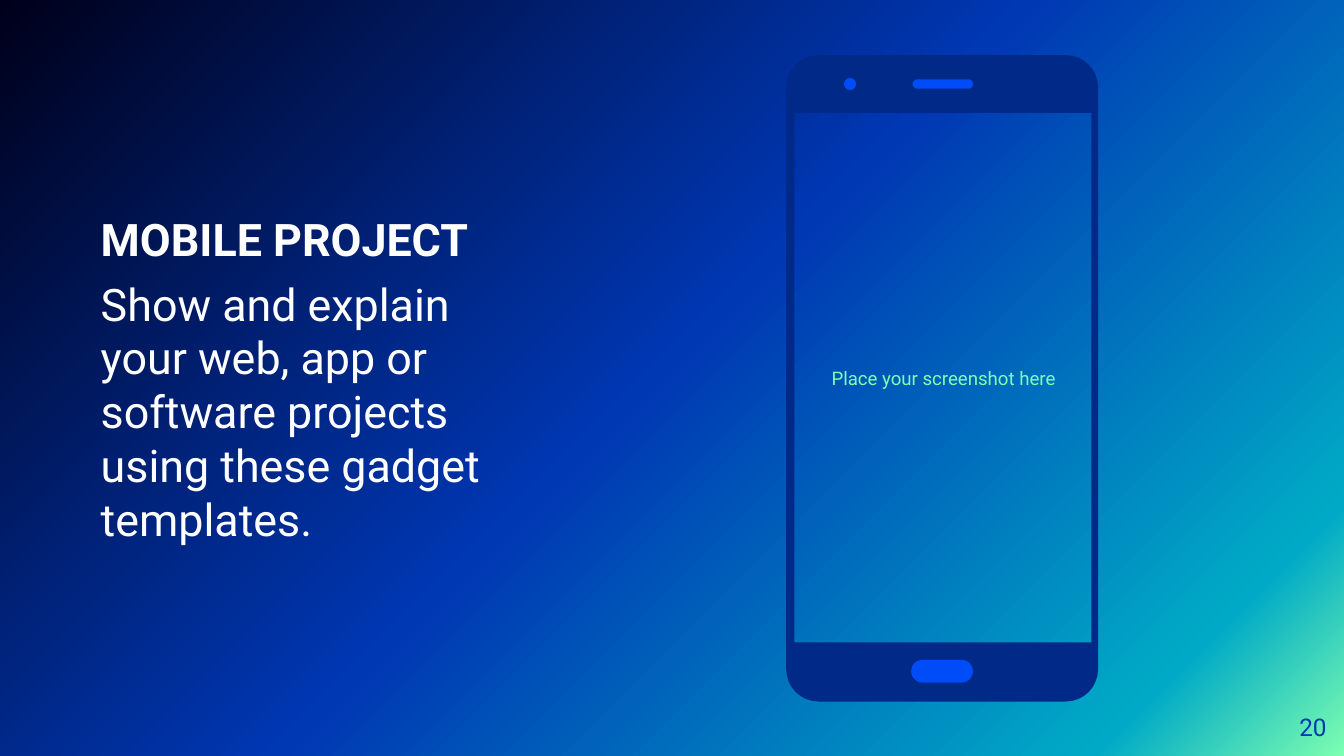
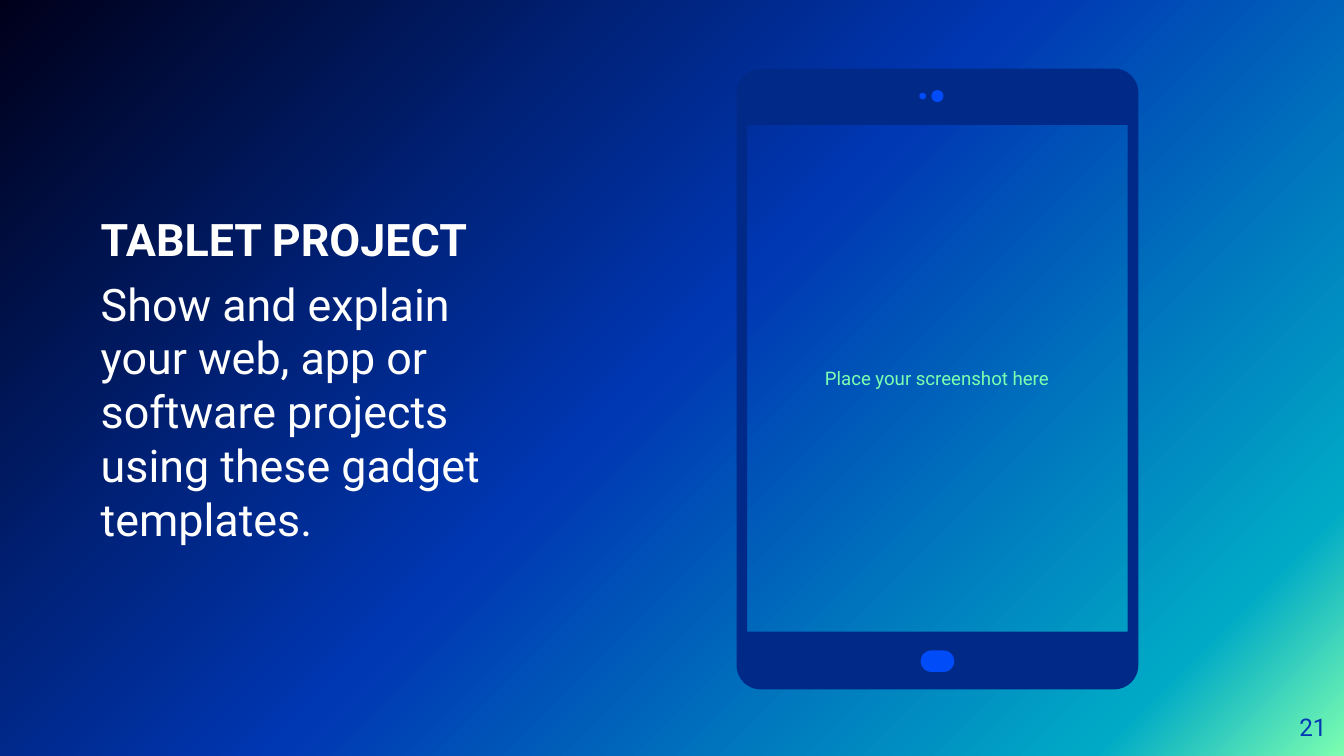
from math import cos, pi, sin

from lxml.etree import SubElement
from pptx import Presentation
from pptx.dml.color import RGBColor
from pptx.enum.shapes import MSO_SHAPE
from pptx.enum.text import MSO_ANCHOR, PP_ALIGN
from pptx.oxml.ns import qn
from pptx.util import Inches, Pt

# Content: boxes are left, top, width, height in inches
MESSAGE = "Show and explain your web, app or software projects using these gadget templates."
CAPTION = "Place your screenshot here"
SLIDES = [
    {
        "title": "MOBILE PROJECT",
        "number": "20",
        "body": (5.85, 0.41, 2.32, 4.81),
        "radius": 0.24,
        "screen": (5.91, 0.84, 2.21, 3.94),
        "caption": (5.92, 0.86, 2.2, 3.91),
        "pills": [(6.78, 4.91, 0.46, 0.17), (6.79, 0.59, 0.45, 0.07)],
        "dots": [(6.28, 0.58, 0.09, 0.09)],
    },
    {
        "title": "TABLET PROJECT",
        "number": "21",
        "body": (5.48, 0.51, 2.99, 4.62),
        "radius": 0.18,
        "screen": (5.56, 0.93, 2.83, 3.77),
        "caption": (5.55, 0.93, 2.84, 3.76),
        "pills": [(6.85, 4.84, 0.25, 0.16)],
        "dots": [(6.84, 0.69, 0.05, 0.05), (6.93, 0.67, 0.09, 0.09)],
    },
]

# Shared style
WIDTH = 10
HEIGHT = WIDTH * 9 / 16
MESSAGE_BOX = (0.75, 0.41, 3.17, 4.81)
NUMBER_BOX = (9.27, 5.19, 0.6, 0.43)
FONT = "Roboto"
WHITE, MINT, BLUE = "FFFFFF", "7DFFB1", "0037B3"
CASE, BUTTON = "002988", "004CF8"
GRADIENT = [(0, MINT), (12, "00AAC6"), (51, BLUE), (100, "00001A")]
CORNER_STEPS = 8


def color(hex_code):
    return RGBColor.from_string(hex_code)


def inches(box):
    return [Inches(length) for length in box]


def paint_background(slide):
    fill = slide.background.fill
    fill.gradient()
    fill.gradient_angle = 135
    stops = slide.element.find(".//" + qn("a:gsLst"))
    for stop in list(stops):
        stops.remove(stop)
    for percent, hex_code in GRADIENT:
        stop = SubElement(stops, qn("a:gs"), pos=str(percent * 1000))
        SubElement(stop, qn("a:srgbClr"), val=hex_code)


def add_text(slide, box, runs, size, hex_code, align=PP_ALIGN.LEFT, inset=0, space=0):
    """Each (text, bold) pair becomes one paragraph."""
    frame = slide.shapes.add_textbox(*inches(box)).text_frame
    frame.word_wrap = True
    frame.vertical_anchor = MSO_ANCHOR.MIDDLE
    frame.margin_left = frame.margin_right = Inches(inset)
    frame.margin_top = frame.margin_bottom = Inches(inset)
    for index, (text, bold) in enumerate(runs):
        paragraph = frame.add_paragraph() if index else frame.paragraphs[0]
        paragraph.alignment = align
        paragraph.space_before = Pt(space)
        run = paragraph.add_run()
        run.text = text
        run.font.name = FONT
        run.font.size = Pt(size)
        run.font.bold = bold
        run.font.color.rgb = color(hex_code)


def finish(shape, hex_code):
    shape.shadow.inherit = False
    shape.fill.solid()
    shape.fill.fore_color.rgb = color(hex_code)
    shape.line.fill.background()


def rounded_outline(box, radius):
    """Clockwise points, starting on the left end of the top left corner."""
    left, top, width, height = box
    right, bottom = left + width - radius, top + height - radius
    left, top = left + radius, top + radius
    centers = [(left, top), (right, top), (right, bottom), (left, bottom)]
    points = []
    for corner, (x, y) in enumerate(centers):
        for step in range(CORNER_STEPS + 1):
            angle = pi + (corner + step / CORNER_STEPS) * pi / 2
            points.append((Inches(x + radius * cos(angle)), Inches(y + radius * sin(angle))))
    return points


def add_case(slide, body, radius, screen):
    left, top, width, height = inches(screen)
    right, bottom = left + width, top + height
    outline = rounded_outline(body, radius)
    builder = slide.shapes.build_freeform(*outline[0])
    builder.add_line_segments(outline[1:], close=True)
    # The screen runs the other way round, so it stays open
    builder.move_to(left, top)
    builder.add_line_segments([(left, bottom), (right, bottom), (right, top)], close=True)
    finish(builder.convert_to_shape(), CASE)


def add_buttons(slide, kind, boxes):
    for box in boxes:
        shape = slide.shapes.add_shape(kind, *inches(box))
        if kind == MSO_SHAPE.ROUNDED_RECTANGLE:
            shape.adjustments[0] = 0.5
        finish(shape, BUTTON)


def main():
    presentation = Presentation()
    presentation.slide_width, presentation.slide_height = inches((WIDTH, HEIGHT))
    for content in SLIDES:
        slide = presentation.slides.add_slide(presentation.slide_layouts[6])
        paint_background(slide)
        # Wording
        add_text(slide, content["caption"], [(CAPTION, False)], 10, MINT, PP_ALIGN.CENTER, inset=0.1)
        add_text(slide, MESSAGE_BOX, [(content["title"], True), (MESSAGE, False)], 24, WHITE, space=6)
        add_text(slide, NUMBER_BOX, [(content["number"], False)], 13, BLUE, PP_ALIGN.RIGHT)
        # Device
        add_case(slide, content["body"], content["radius"], content["screen"])
        add_buttons(slide, MSO_SHAPE.ROUNDED_RECTANGLE, content["pills"])
        add_buttons(slide, MSO_SHAPE.OVAL, content["dots"])
    presentation.save("out.pptx")


if __name__ == "__main__":
    main()
